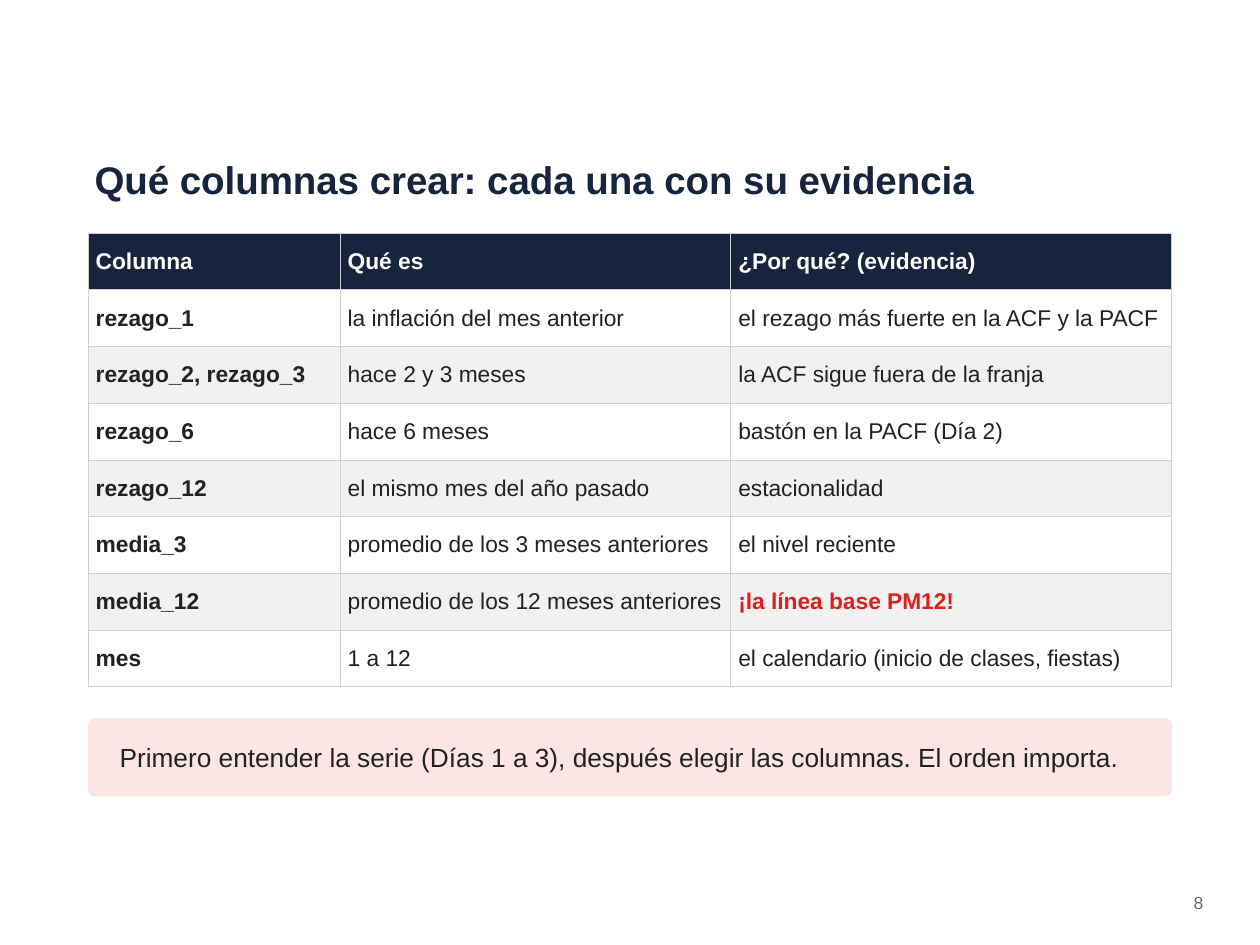
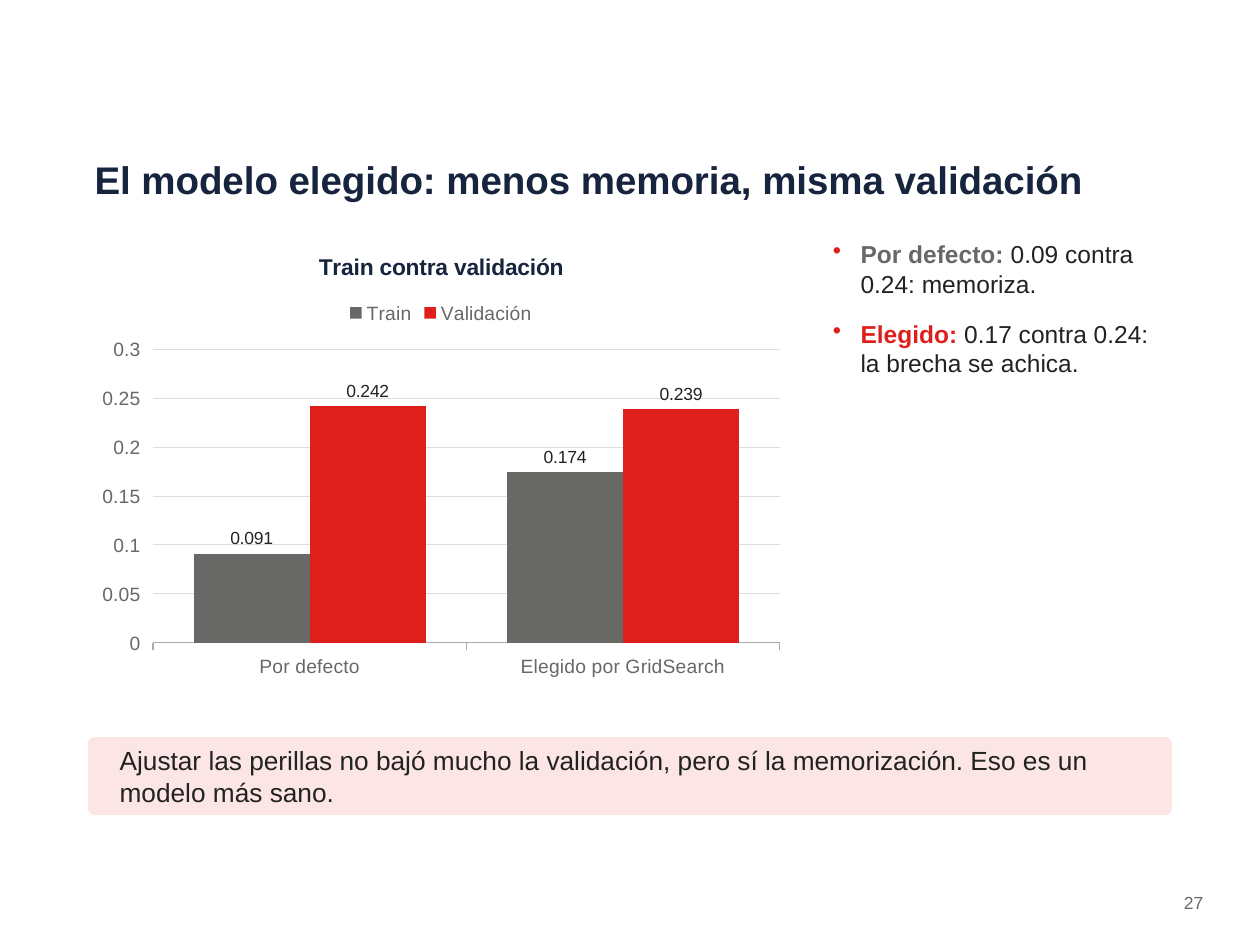
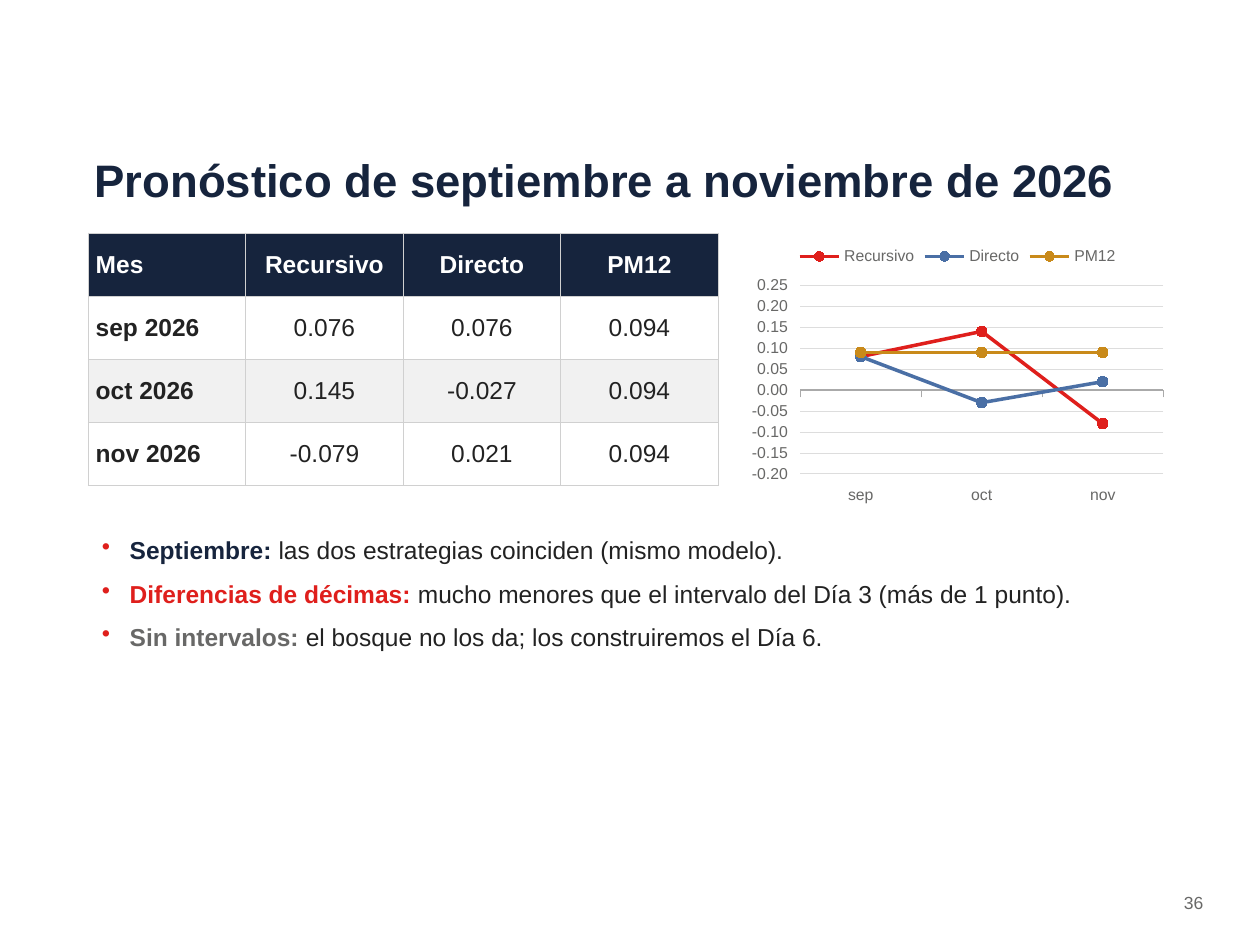
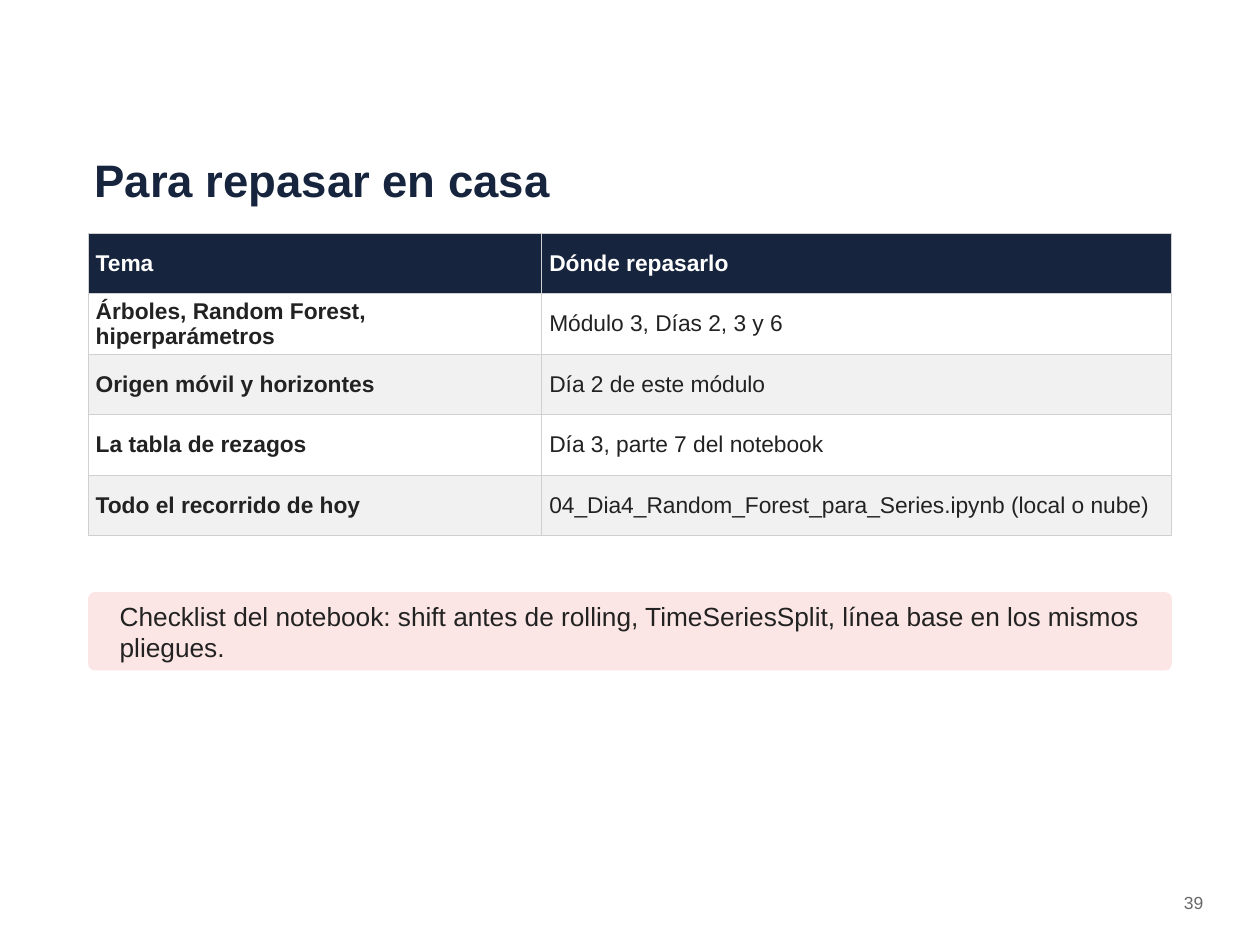
from dataclasses import dataclass

from lxml import etree
from pptx import Presentation
from pptx.chart.data import CategoryChartData
from pptx.dml.color import RGBColor
from pptx.enum.chart import (XL_CHART_TYPE, XL_LABEL_POSITION, XL_LEGEND_POSITION,
                             XL_MARKER_STYLE, XL_TICK_LABEL_POSITION, XL_TICK_MARK)
from pptx.enum.shapes import MSO_SHAPE
from pptx.enum.text import MSO_ANCHOR, MSO_AUTO_SIZE, PP_ALIGN
from pptx.oxml.ns import qn
from pptx.util import Inches, Pt

COLUMNS = XL_CHART_TYPE.COLUMN_CLUSTERED
LINES = XL_CHART_TYPE.LINE_MARKERS
LABELS_OUTSIDE = XL_LABEL_POSITION.OUTSIDE_END
LEGEND_TOP = XL_LEGEND_POSITION.TOP
CIRCLE = XL_MARKER_STYLE.CIRCLE
LABELS_LOW = XL_TICK_LABEL_POSITION.LOW
TICK_OUTSIDE = XL_TICK_MARK.OUTSIDE
ROUNDED = MSO_SHAPE.ROUNDED_RECTANGLE
MIDDLE, TOP = MSO_ANCHOR.MIDDLE, MSO_ANCHOR.TOP
FIXED_SIZE = MSO_AUTO_SIZE.NONE
LEFT, CENTER, RIGHT = PP_ALIGN.LEFT, PP_ALIGN.CENTER, PP_ALIGN.RIGHT

FONT = "Arial"
NAVY, RED, GRAY, INK = "16243D", "DF1F1C", "686867", "222222"
BLUE, OCHRE, WHITE = "4A6FA5", "C98A1A", "FFFFFF"
STRIPE, PINK = "F1F1F1", "FBE6E5"
BORDER, GRID, AXIS = "D0D0D0", "DDDDDD", "AAAAAA"

MARGIN, CONTENT_TOP, CONTENT_WIDTH = 0.7, 1.85, 8.6


@dataclass(frozen=True)
class Box:
    left: float
    top: float
    width: float
    height: float

    def lengths(self):
        return [Inches(n) for n in (self.left, self.top, self.width, self.height)]


@dataclass(frozen=True)
class Bullet:
    lead: str
    color: str
    text: str


@dataclass(frozen=True)
class TableSpec:
    rows: list[tuple[str, ...]]
    widths: tuple[float, ...]
    row_height: float
    size: int
    value_align: PP_ALIGN = LEFT
    highlight: str = ""


@dataclass(frozen=True)
class Series:
    name: str
    values: tuple[float, ...]
    color: str


@dataclass(frozen=True)
class ChartSpec:
    kind: XL_CHART_TYPE
    box: Box
    categories: tuple[str, ...]
    series: list[Series]
    size: int
    low: float
    high: float
    digits: int
    axis_format: str = "General"
    title: str = ""


def rgb(color: str) -> RGBColor:
    return RGBColor.from_string(color)


def style_font(font, size: float, color: str, bold: bool = False) -> None:
    font.name, font.size, font.bold = FONT, Pt(size), bold
    font.color.rgb = rgb(color)


def style_line(line, color: str, width: float) -> None:
    line.color.rgb = rgb(color)
    line.width = Pt(width)


def set_frame(frame, anchor, side: float, vertical: float) -> None:
    frame.word_wrap = True
    frame.auto_size = FIXED_SIZE
    frame.vertical_anchor = anchor
    frame.margin_left = frame.margin_right = Inches(side)
    frame.margin_top = frame.margin_bottom = Inches(vertical)


def write_line(shape, text: str, size: int, color: str, bold: bool = False,
               align=LEFT, anchor=MIDDLE) -> None:
    set_frame(shape.text_frame, anchor, 0.05, 0.03)
    paragraph = shape.text_frame.paragraphs[0]
    paragraph.text = text
    paragraph.alignment = align
    paragraph.space_after = Pt(4)
    style_font(paragraph.font, size, color, bold)


def add_page(prs, title: str, number: int, title_size: int):
    """Add a slide with its title and page number."""
    slide = prs.slides.add_slide(prs.slide_layouts[5])
    heading = slide.shapes.title
    heading.left, heading.top, heading.width, heading.height = Box(
        MARGIN, 1.05, CONTENT_WIDTH, 0.75).lengths()
    write_line(heading, title, title_size, NAVY, bold=True)
    page_number = slide.shapes.add_textbox(*Box(9, 7.05, 0.6, 0.3).lengths())
    write_line(page_number, str(number), 10, GRAY, align=RIGHT, anchor=TOP)
    return slide


def add_callout(slide, top: float, text: str) -> None:
    band = slide.shapes.add_shape(ROUNDED, *Box(MARGIN, top, CONTENT_WIDTH, 0.62).lengths())
    band.adjustments[0] = 0.08
    band.shadow.inherit = False
    band.fill.solid()
    band.fill.fore_color.rgb = rgb(PINK)
    band.line.fill.background()
    message = slide.shapes.add_textbox(
        *Box(MARGIN + 0.2, top, CONTENT_WIDTH - 0.4, 0.62).lengths())
    write_line(message, text, 15, INK)


def add_bullets(slide, box: Box, bullets: list[Bullet], gap: int) -> None:
    frame = slide.shapes.add_textbox(*box.lengths()).text_frame
    set_frame(frame, TOP, 0.05, 0.05)
    for index, bullet in enumerate(bullets):
        paragraph = frame.add_paragraph() if index else frame.paragraphs[0]
        properties = paragraph._p.get_or_add_pPr()
        properties.set("marL", str(Inches(0.28)))
        properties.set("indent", str(-Inches(0.22)))
        mark_color = etree.SubElement(properties, qn("a:buClr"))
        etree.SubElement(mark_color, qn("a:srgbClr"), val=RED)
        etree.SubElement(properties, qn("a:buChar"), char="•")
        paragraph.space_after = Pt(gap)
        paragraph.font.name, paragraph.font.size = FONT, Pt(14)
        for text, color, bold in ((bullet.lead + " ", bullet.color, True),
                                  (bullet.text, INK, False)):
            run = paragraph.add_run()
            run.text = text
            run.font.bold = bold
            run.font.color.rgb = rgb(color)


def add_borders(cell) -> None:
    properties = cell._tc.get_or_add_tcPr()
    for side in ("lnL", "lnR", "lnT", "lnB"):
        line = etree.SubElement(properties, qn(f"a:{side}"), w=str(Pt(0.5)))
        fill = etree.SubElement(line, qn("a:solidFill"))
        etree.SubElement(fill, qn("a:srgbClr"), val=BORDER)


def fill_cell(cell, text: str, row: int, column: int, spec: TableSpec) -> None:
    highlighted = text == spec.highlight
    if row == 0:
        background, color = NAVY, WHITE
    else:
        background = WHITE if row % 2 else STRIPE
        color = RED if highlighted else INK
    add_borders(cell)
    cell.fill.solid()
    cell.fill.fore_color.rgb = rgb(background)
    cell.vertical_anchor = MIDDLE
    cell.margin_left = cell.margin_right = Inches(0.06)
    cell.margin_top = cell.margin_bottom = Inches(0.03)
    paragraph = cell.text_frame.paragraphs[0]
    paragraph.text = text
    paragraph.alignment = spec.value_align if column else LEFT
    style_font(paragraph.font, spec.size, color, row == 0 or column == 0 or highlighted)


def add_grid(slide, spec: TableSpec) -> None:
    box = Box(MARGIN, CONTENT_TOP, sum(spec.widths), spec.row_height * len(spec.rows))
    table = slide.shapes.add_table(len(spec.rows), len(spec.widths), *box.lengths()).table
    table.horz_banding = False
    for column, width in zip(table.columns, spec.widths):
        column.width = Inches(width)
    for r, texts in enumerate(spec.rows):
        table.rows[r].height = Inches(spec.row_height)
        for c, text in enumerate(texts):
            fill_cell(table.cell(r, c), text, r, c, spec)


def style_axes(chart, spec: ChartSpec) -> None:
    for axis in (chart.category_axis, chart.value_axis):
        style_font(axis.tick_labels.font, spec.size, GRAY)
        axis.major_tick_mark = TICK_OUTSIDE
    chart.category_axis.tick_label_position = LABELS_LOW
    style_line(chart.category_axis.format.line, AXIS, 0.75)
    values = chart.value_axis
    values.minimum_scale, values.maximum_scale = spec.low, spec.high
    values.tick_labels.number_format = spec.axis_format
    values.tick_labels.number_format_is_linked = False
    values.format.line.fill.background()
    style_line(values.major_gridlines.format.line, GRID, 0.5)


def style_column(series, color: str) -> None:
    series.format.fill.solid()
    series.format.fill.fore_color.rgb = rgb(color)
    labels = series.data_labels
    labels.show_value = True
    labels.position = LABELS_OUTSIDE
    labels.number_format = "0.000"
    labels.number_format_is_linked = False
    style_font(labels.font, 10, INK)


def style_curve(series, color: str) -> None:
    series.smooth = False
    style_line(series.format.line, color, 2)
    series.marker.style, series.marker.size = CIRCLE, 6
    series.marker.format.fill.solid()
    series.marker.format.fill.fore_color.rgb = rgb(color)
    series.marker.format.line.color.rgb = rgb(color)


def add_graph(slide, spec: ChartSpec) -> None:
    data = CategoryChartData()
    data.categories = spec.categories
    for series in spec.series:
        data.add_series(series.name, [round(value, spec.digits) for value in series.values])
    chart = slide.shapes.add_chart(spec.kind, *spec.box.lengths(), data).chart
    style_font(chart.font, spec.size, "000000")
    chart.has_title = bool(spec.title)
    if spec.title:
        heading = chart.chart_title.text_frame.paragraphs[0]
        heading.text = spec.title
        style_font(heading.runs[0].font, 13, NAVY, bold=True)
    chart.has_legend = True
    chart.legend.position = LEGEND_TOP
    chart.legend.include_in_layout = False
    style_font(chart.legend.font, spec.size, GRAY)
    style_axes(chart, spec)
    plot = chart.plots[0]
    plot.vary_by_categories = False
    if spec.kind == COLUMNS:
        plot.gap_width, plot.overlap = 70, 0
    style_series = style_column if spec.kind == COLUMNS else style_curve
    for drawn, series in zip(plot.series, spec.series):
        style_series(drawn, series.color)


def build_columns_page(prs) -> None:
    slide = add_page(prs, "Qué columnas crear: cada una con su evidencia", 8, 22)
    baseline = "¡la línea base PM12!"
    add_grid(slide, TableSpec([
        ("Columna", "Qué es", "¿Por qué? (evidencia)"),
        ("rezago_1", "la inflación del mes anterior",
         "el rezago más fuerte en la ACF y la PACF"),
        ("rezago_2, rezago_3", "hace 2 y 3 meses", "la ACF sigue fuera de la franja"),
        ("rezago_6", "hace 6 meses", "bastón en la PACF (Día 2)"),
        ("rezago_12", "el mismo mes del año pasado", "estacionalidad"),
        ("media_3", "promedio de los 3 meses anteriores", "el nivel reciente"),
        ("media_12", "promedio de los 12 meses anteriores", baseline),
        ("mes", "1 a 12", "el calendario (inicio de clases, fiestas)"),
    ], (2, 3.1, 3.5), 0.45, 13, highlight=baseline))
    add_callout(slide, 5.7, "Primero entender la serie (Días 1 a 3), después elegir "
                            "las columnas. El orden importa.")


def build_model_page(prs) -> None:
    slide = add_page(prs, "El modelo elegido: menos memoria, misma validación", 27, 22)
    add_graph(slide, ChartSpec(
        COLUMNS, Box(MARGIN, CONTENT_TOP, 5.6, 3.6),
        ("Por defecto", "Elegido por GridSearch"),
        [Series("Train", (0.091, 0.174), GRAY),
         Series("Validación", (0.242, 0.239), RED)],
        size=11, low=0, high=0.3, digits=3, title="Train contra validación"))
    add_bullets(slide, Box(6.5, CONTENT_TOP, 2.8, 3.4), [
        Bullet("Por defecto:", GRAY, "0.09 contra 0.24: memoriza."),
        Bullet("Elegido:", RED, "0.17 contra 0.24: la brecha se achica."),
    ], gap=12)
    add_callout(slide, 5.85, "Ajustar las perillas no bajó mucho la validación, pero sí "
                             "la memorización. Eso es un modelo más sano.")


def build_forecast_page(prs) -> None:
    slide = add_page(prs, "Pronóstico de septiembre a noviembre de 2026", 36, 26)
    months = ("sep", "oct", "nov")
    forecasts = [Series("Recursivo", (0.076, 0.145, -0.079), RED),
                 Series("Directo", (0.076, -0.027, 0.021), BLUE),
                 Series("PM12", (0.094, 0.094, 0.094), OCHRE)]
    header = ("Mes", *(forecast.name for forecast in forecasts))
    rows = [(f"{month} 2026", *(f"{forecast.values[i]:.3f}" for forecast in forecasts))
            for i, month in enumerate(months)]
    add_grid(slide, TableSpec([header, *rows], (1.25,) * 4, 0.5, 14, value_align=CENTER))
    add_graph(slide, ChartSpec(
        LINES, Box(5.9, CONTENT_TOP, 3.4, 2.2), months, forecasts,
        size=9, low=-0.2, high=0.25, digits=2, axis_format="0.00"))
    add_bullets(slide, Box(MARGIN, 4.2, CONTENT_WIDTH, 1.6), [
        Bullet("Septiembre:", NAVY, "las dos estrategias coinciden (mismo modelo)."),
        Bullet("Diferencias de décimas:", RED,
               "mucho menores que el intervalo del Día 3 (más de 1 punto)."),
        Bullet("Sin intervalos:", GRAY, "el bosque no los da; los construiremos el Día 6."),
    ], gap=8)


def build_review_page(prs) -> None:
    slide = add_page(prs, "Para repasar en casa", 39, 26)
    add_grid(slide, TableSpec([
        ("Tema", "Dónde repasarlo"),
        ("Árboles, Random Forest, hiperparámetros", "Módulo 3, Días 2, 3 y 6"),
        ("Origen móvil y horizontes", "Día 2 de este módulo"),
        ("La tabla de rezagos", "Día 3, parte 7 del notebook"),
        ("Todo el recorrido de hoy",
         "04_Dia4_Random_Forest_para_Series.ipynb (local o nube)"),
    ], (3.6, 5), 0.48, 13))
    add_callout(slide, 4.7, "Checklist del notebook: shift antes de rolling, "
                            "TimeSeriesSplit, línea base en los mismos pliegues.")


def main() -> None:
    prs = Presentation()
    prs.slide_width, prs.slide_height = Inches(10), Inches(7.5)
    build_columns_page(prs)
    build_model_page(prs)
    build_forecast_page(prs)
    build_review_page(prs)
    prs.save("out.pptx")


if __name__ == "__main__":
    main()
